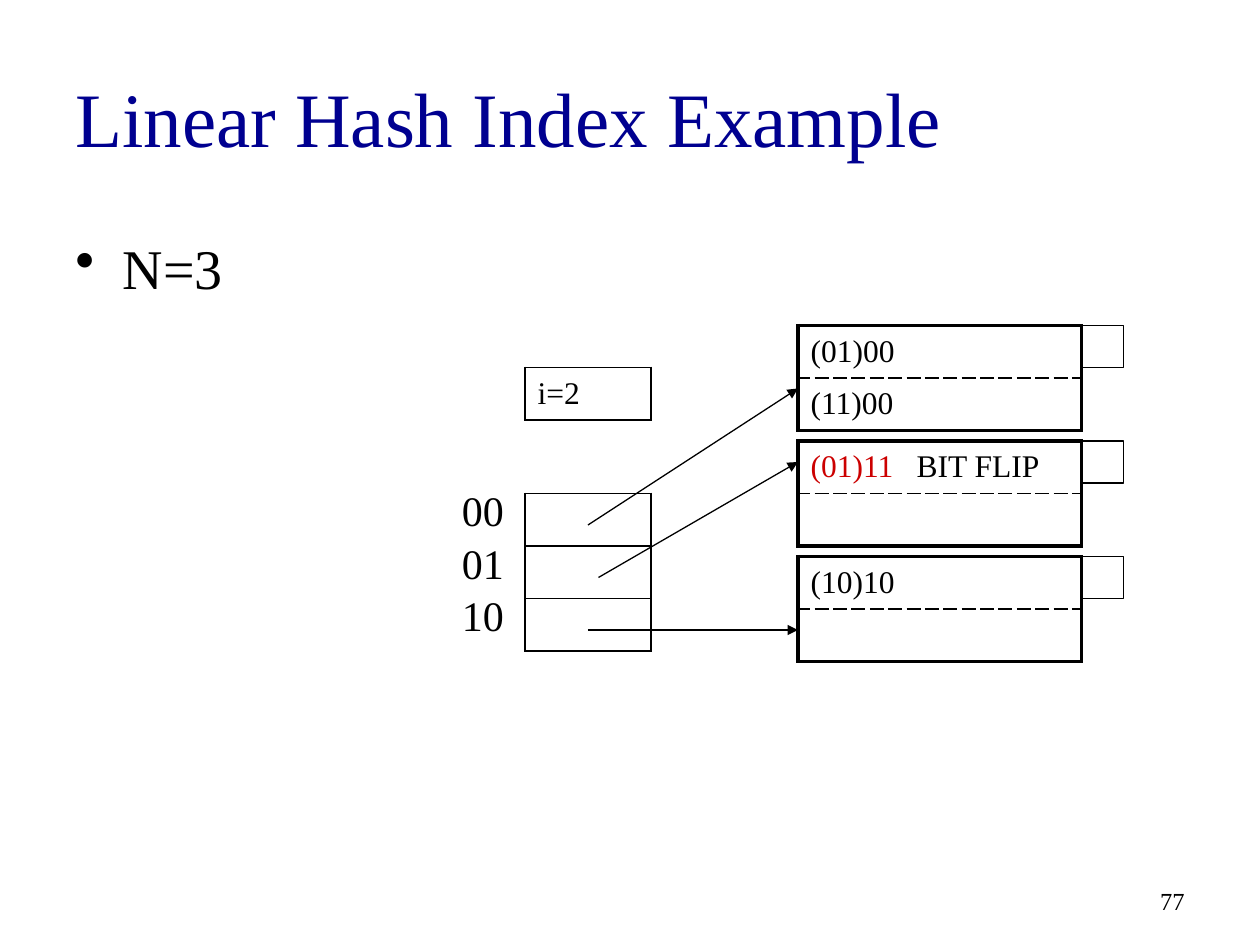
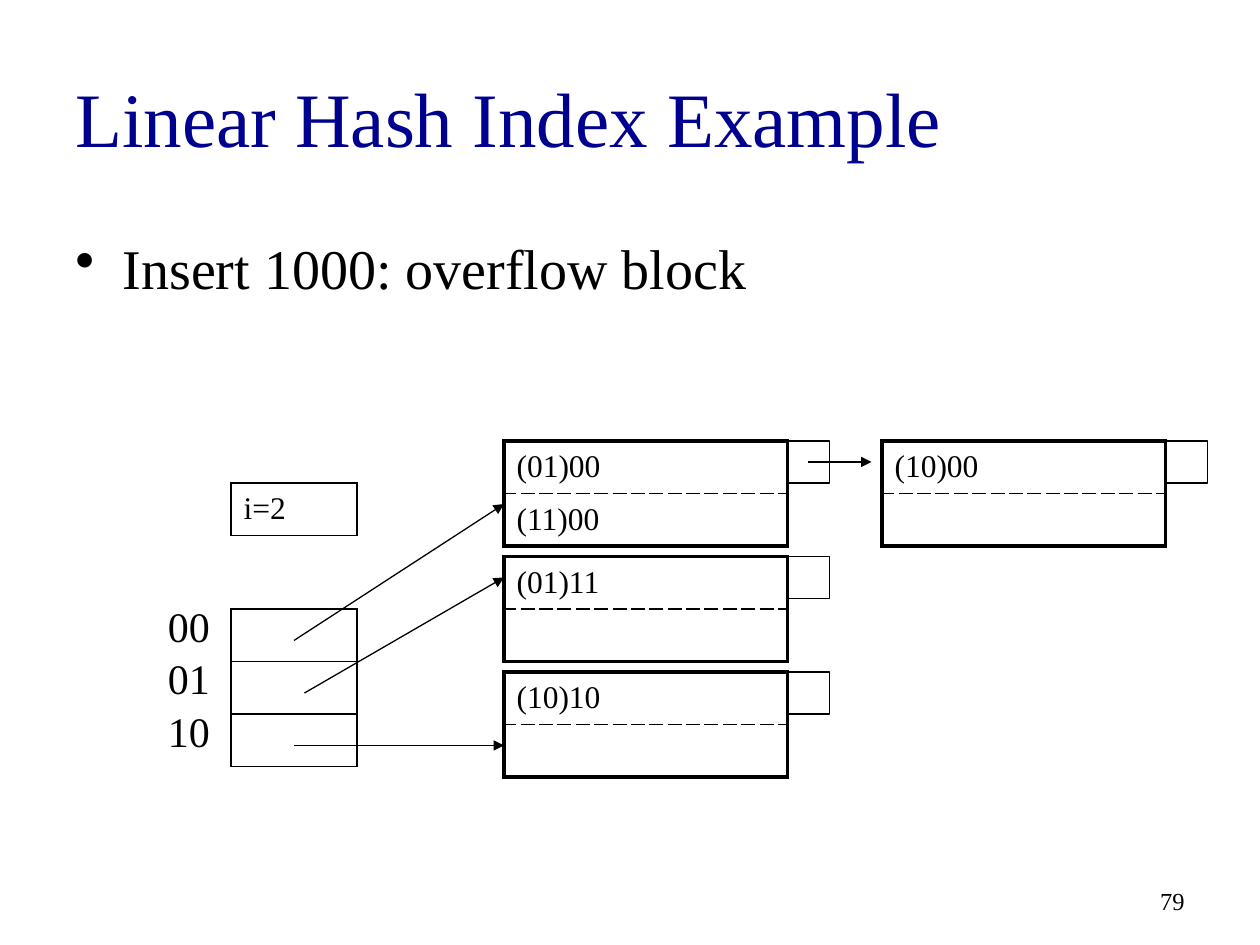
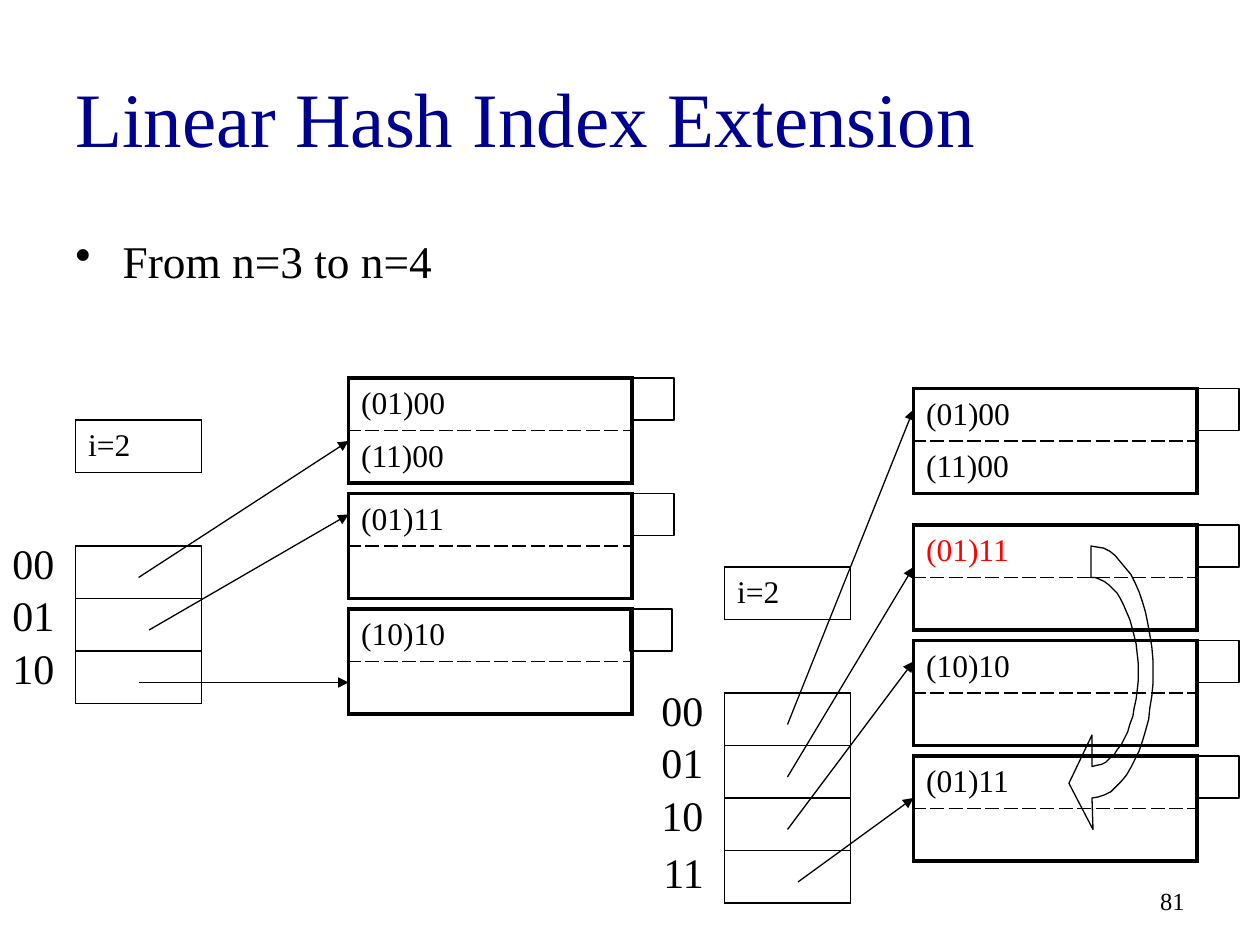
from dataclasses import dataclass, replace
from typing import Any

import pptx
import pptx.dml.color
import pptx.enum.dml
import pptx.enum.shapes
import pptx.enum.text
import pptx.oxml
import pptx.oxml.ns
import pptx.util

# Shared style
PX = 7620  # EMU per px, 120 px to the inch
FONT = "Times New Roman"
BLACK = pptx.dml.color.RGBColor(0, 0, 0)
NAVY = pptx.dml.color.RGBColor(0, 0, 0x90)
CRIMSON = pptx.dml.color.RGBColor(0xCC, 0, 0)
RED = pptx.dml.color.RGBColor(0xFF, 0, 0)
ANCHOR = pptx.enum.text.MSO_ANCHOR
ALIGN = pptx.enum.text.PP_ALIGN

# Index geometry
ROW = 50
BLOCK_W = 270
DIRECTORY_W = 120
STUB = 40
THIN, THICK, HAIR = 1, 2.25, 0.75
FLIP_TAB = 101


@dataclass(frozen=True)
class Run:
    text: str
    color: pptx.dml.color.RGBColor = BLACK


Record = tuple[Run, ...]


@dataclass(frozen=True)
class Bucket:
    """A directory entry and the block that it points to."""
    key: str
    records: tuple[Record, ...]
    top: int  # block top, measured from the directory top
    hit: int  # arrow end, measured from the block top
    tail: int = 60  # arrow start, measured from the directory left
    stub_dx: int = 0
    key_shift: tuple[int, int] = (0, 0)


@dataclass(frozen=True)
class HashIndex:
    left: int
    top: int
    block_dx: int
    buckets: tuple[Bucket, ...]


def px(n: float) -> int:
    return int(n * PX)


def set_format(target: Any, values: dict[str, Any]) -> None:
    for name, value in values.items():
        setattr(target, name, value)


def add_run(p: Any, run: Run, size: float) -> None:
    r = p.add_run()
    r.text = run.text
    set_format(r.font, {"name": FONT, "size": pptx.util.Pt(size)})
    r.font.color.rgb = run.color


def add_xml(parent: Any, xml: str) -> None:
    tag, rest = xml[1:].split(" ", 1)
    parent.append(pptx.oxml.parse_xml(
        f"<{tag} {pptx.oxml.ns.nsdecls('a')} {rest}"))


# Text
def add_text(s: Any, box: tuple[int, int, int, int], run: Run, size: float,
             frame: dict[str, Any], align: Any = ALIGN.LEFT) -> Any:
    tf = s.shapes.add_textbox(*map(px, box)).text_frame
    set_format(tf, {"word_wrap": True} | frame)
    p = tf.paragraphs[0]
    p.alignment = align
    add_run(p, run, size)
    return p


def add_base(prs: Any, title: str, bullet: str, number: int, size: float = 32) -> Any:
    s = prs.slides.add_slide(prs.slide_layouts[6])
    middle = {"vertical_anchor": ANCHOR.MIDDLE}
    add_text(s, (860, 834, 280, 48), Run(str(number)), 14, middle, ALIGN.RIGHT)
    add_text(s, (60, 36, 1080, 150), Run(title, NAVY), 44, middle)
    p = add_text(s, (60, 210, 1080, 594), Run(bullet), size, {"margin_top": px(12)})
    pPr = p._p.get_or_add_pPr()
    set_format_xml = {"marL": px(45), "indent": -px(45)}
    for name, value in set_format_xml.items():
        pPr.set(name, str(value))
    add_xml(pPr, '<a:buChar char="•"/>')
    return s


# Tables
def style_cell(cell: Any, record: Record, borders: dict[str, tuple[float, str]]) -> None:
    tcPr = cell._tc.get_or_add_tcPr()
    for side in "LRTB":
        width, dash = borders[side]
        add_xml(tcPr, f'<a:ln{side} w="{pptx.util.Pt(width)}">'
                      f'<a:solidFill><a:srgbClr val="{BLACK}"/></a:solidFill>'
                      f'<a:prstDash val="{dash}"/></a:ln{side}>')
    cell.fill.background()
    cell.vertical_anchor = ANCHOR.MIDDLE
    p = cell.text_frame.paragraphs[0]
    if any("\t" in run.text for run in record):
        add_xml(p._p.get_or_add_pPr(),
                f'<a:tabLst ><a:tab pos="{px(FLIP_TAB)}" algn="l"/></a:tabLst>')
    for run in record:
        add_run(p, run, 18)


def add_column(s: Any, left: int, top: int, width: int, records: list[Record],
               outer: float, inner: tuple[float, str]) -> None:
    count = len(records)
    table = s.shapes.add_table(count, 1, px(left), px(top), px(width),
                               px(ROW * count)).table
    set_format(table, {"first_row": False, "horz_banding": False})
    edge = (outer, "solid")
    for i, record in enumerate(records):
        style_cell(table.cell(i, 0), record, {
            "L": edge, "R": edge,
            "T": inner if i else edge,
            "B": inner if i < count - 1 else edge})


# Shapes
def outline(shape: Any) -> None:
    shape.shadow.inherit = False
    shape.fill.background()
    shape.line.color.rgb = BLACK
    shape.line.width = pptx.util.Pt(HAIR)


def add_arrow(s: Any, x1: int, y1: int, x2: int, y2: int) -> None:
    line = s.shapes.add_connector(pptx.enum.shapes.MSO_CONNECTOR.STRAIGHT,
                                  px(x1), px(y1), px(x2), px(y2))
    line.line.color.rgb = BLACK
    line.line.width = pptx.util.Pt(HAIR)
    add_xml(line.line._get_or_add_ln(), '<a:tailEnd type="triangle"/>')
    add_xml(line._element.spPr, '<a:effectLst />')


def add_block(s: Any, left: int, top: int, records: tuple[Record, ...],
              stub_dx: int = 0) -> None:
    rows = [*records, ()][:2]
    add_column(s, left, top, BLOCK_W, rows, THICK, (THIN, "lgDash"))
    outline(s.shapes.add_shape(pptx.enum.shapes.MSO_SHAPE.RECTANGLE,
                               px(left + BLOCK_W + stub_dx), px(top), px(STUB), px(STUB)))


def add_index(s: Any, index: HashIndex) -> None:
    left, top, solid = index.left, index.top, (THIN, "solid")
    add_column(s, left, top, DIRECTORY_W, [()] * len(index.buckets), THIN, solid)
    add_column(s, left, top - 120, DIRECTORY_W, [(Run("i=2"),)], THIN, solid)
    block_left = left + index.block_dx
    for i, b in enumerate(index.buckets):
        add_block(s, block_left, top + b.top, b.records, b.stub_dx)
        dx, dy = b.key_shift
        add_text(s, (left - 72 + dx, top - 14 + ROW * i + dy, 64, 60), Run(b.key), 24,
                 {"word_wrap": False,
                  "auto_size": pptx.enum.text.MSO_AUTO_SIZE.SHAPE_TO_FIT_TEXT})
    for i, b in enumerate(index.buckets):
        add_arrow(s, left + b.tail, top + 30 + ROW * i, block_left, top + b.top + b.hit)


# Curved arrow that shows where the record moves
Point = tuple[float, float]


def curve(a: Point, b: Point, c: Point, d: Point, steps: int = 16) -> list[Point]:
    points = []
    for i in range(1, steps + 1):
        t = i / steps
        u = 1 - t
        x, y = (u**3 * k + 3 * u * u * t * m + 3 * u * t * t * n + t**3 * q
                for k, m, n, q in zip(a, b, c, d))
        points.append((x, y))
    return points


def add_move_arrow(s: Any) -> None:
    start, inner, inner_end = (1040, 730), (1084, 640), (1039, 550)
    outer_start, outer, outer_end = (1039, 520), (1098, 640), (1040, 760)
    points = [
        *curve(start, (1064, 729), (1084, 689), inner),
        *curve(inner, (1084, 590), (1063, 550), inner_end),
        outer_start,
        *curve(outer_start, (1072, 520), (1098, 574), outer),
        *curve(outer, (1098, 704), (1073, 758), outer_end),
        (1041, 790), (1018, 746), (1040, 700)]
    builder = s.shapes.build_freeform(*start, scale=PX)
    builder.add_line_segments(points, close=True)
    outline(builder.convert_to_shape())


# Contents
def rec(text: str, color: pptx.dml.color.RGBColor = BLACK) -> Record:
    return (Run(text, color),)


B00 = Bucket("00", (rec("(01)00"), rec("(11)00")), -160, 60)
B01 = Bucket("01", (rec("(01)11"),), -50, 20, tail=70)
B10 = Bucket("10", (rec("(10)10"),), 60, 70)
FLIPPED = replace(B01, records=((Run("(01)11", CRIMSON), Run("\tBIT FLIP")),))
EXTENDED = (
    replace(B00, top=-290, hit=20),
    replace(B01, records=(rec("(01)11", RED),), top=-160, hit=40, tail=60),
    replace(B10, top=-50, hit=20),
    Bucket("11", (rec("(01)11"),), 60, 40, tail=70, key_shift=(2, 4)),
)


def main() -> None:
    prs = pptx.Presentation()
    set_format(prs, {"slide_width": px(1200), "slide_height": px(900)})

    # Bit flip
    s = add_base(prs, "Linear Hash Index Example", "N=3", 77)
    add_index(s, HashIndex(500, 470, 260, (B00, FLIPPED, B10)))

    # Overflow block
    s = add_base(prs, "Linear Hash Index Example", "Insert 1000: overflow block", 79)
    add_index(s, HashIndex(220, 580, 260, (B00, B01, B10)))
    add_block(s, 840, 420, (rec("(10)00"),))
    add_arrow(s, 770, 440, 830, 440)

    # Extension
    s = add_base(prs, "Linear Hash Index Extension", "From n=3 to n=4", 81, 25.9)
    add_index(s, HashIndex(72, 520, 260, (B00, B01, replace(B10, stub_dx=-2))))
    add_index(s, HashIndex(690, 660, 180, EXTENDED))
    add_move_arrow(s)

    prs.save("out.pptx")


if __name__ == "__main__":
    main()
